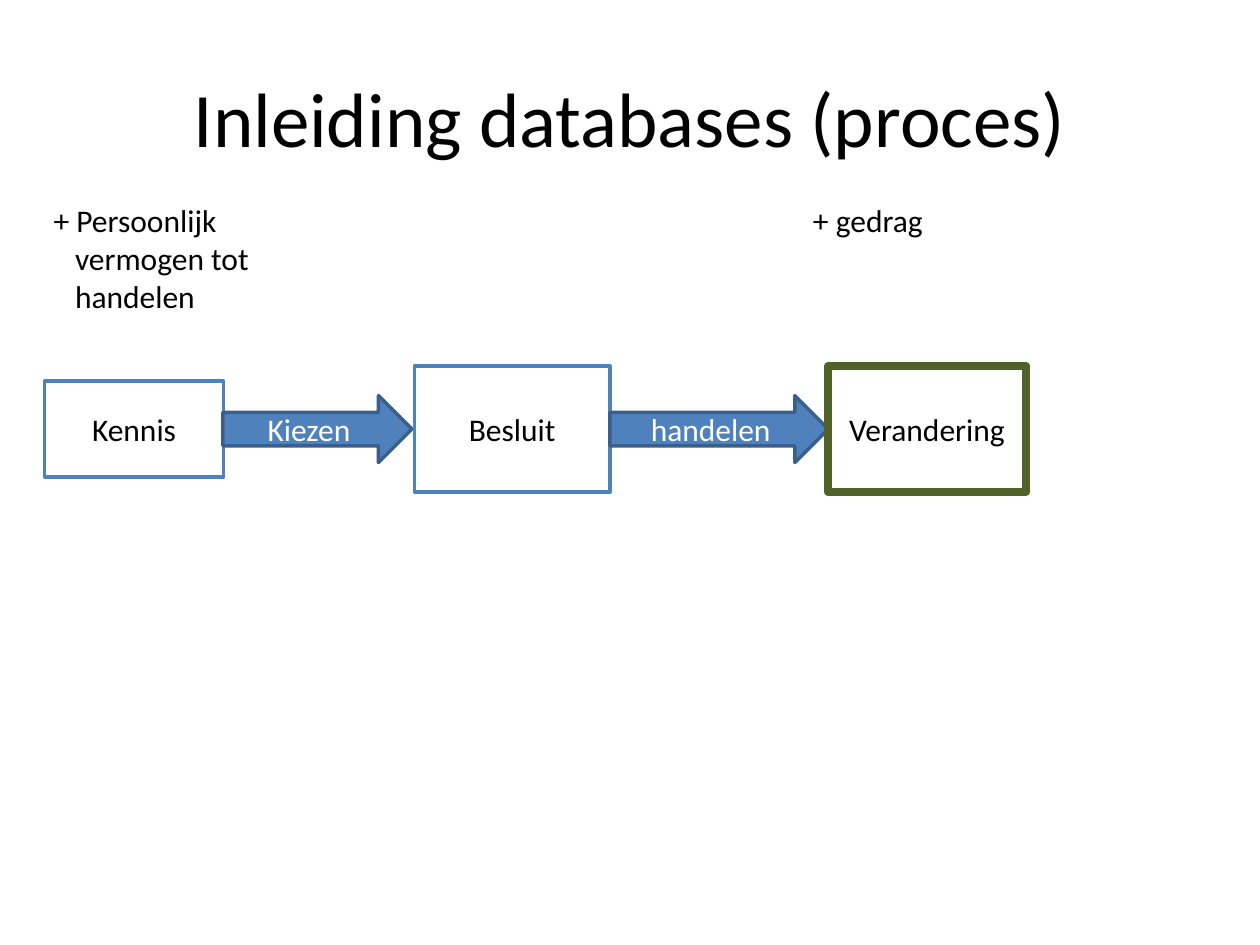
from dataclasses import dataclass

import pptx
import pptx.dml.color
import pptx.enum.shapes
import pptx.enum.text
import pptx.util

Pt = pptx.util.Pt
Shape = pptx.enum.shapes.MSO_SHAPE
Align = pptx.enum.text.PP_ALIGN
Anchor = pptx.enum.text.MSO_ANCHOR

BLACK, WHITE = "000000", "FFFFFF"
BLUE, DARK_BLUE, GREEN = "4F81BD", "3A5F8C", "4F6228"
MIDDLE = 245.2
HANGING_INDENT = 12.3


@dataclass
class Step:
    label: str
    left: float
    width: float
    height: float
    kind: Shape = Shape.RECTANGLE
    fill: str = WHITE
    line: str = BLUE
    line_width: float = 2
    ink: str = BLACK


@dataclass
class Condition:
    text: str
    left: float
    width: float
    height: float


def arrow(label: str, left: float, width: float) -> Step:
    return Step(label, left, width, 38.2, Shape.RIGHT_ARROW, BLUE, DARK_BLUE, ink=WHITE)


STEPS = [
    Step("Kennis", 25.5, 102.2, 54.7, Shape.FLOWCHART_PROCESS),
    arrow("Kiezen", 127.4, 108),
    Step("Besluit", 236.9, 111.6, 72),
    arrow("handelen", 348.5, 124.8),
    Step("Verandering", 473, 113.5, 72, line=GREEN, line_width=4.5),
]

CONDITIONS = [
    Condition("+ Persoonlijk\nvermogen tot\nhandelen", 23.5, 400, 72.7),
    Condition("+ gedrag", 457.5, 262.5, 29.1),
]


def rgb(value: str) -> pptx.dml.color.RGBColor:
    return pptx.dml.color.RGBColor.from_string(value)


def format_text(frame, size: float, ink: str, align: Align) -> None:
    for para in frame.paragraphs:
        para.alignment = align
        for span in para.runs:
            span.font.name = "Calibri"
            span.font.size = Pt(size)
            span.font.color.rgb = rgb(ink)


def draw_step(page, step: Step) -> None:
    """Draw a step centred on the common middle line."""
    box = page.shapes.add_shape(step.kind, Pt(step.left), Pt(MIDDLE - step.height / 2),
                                Pt(step.width), Pt(step.height))
    box.shadow.inherit = False
    box.fill.solid()
    box.fill.fore_color.rgb = rgb(step.fill)
    box.line.color.rgb = rgb(step.line)
    box.line.width = Pt(step.line_width)
    frame = box.text_frame
    frame.text = step.label
    frame.vertical_anchor = Anchor.MIDDLE
    format_text(frame, 18, step.ink, Align.CENTER)


def draw_condition(page, condition: Condition) -> None:
    """Draw a condition whose later lines align with the word after the plus."""
    box = page.shapes.add_textbox(Pt(condition.left), Pt(111.3),
                                  Pt(condition.width), Pt(condition.height))
    frame = box.text_frame
    frame.word_wrap = True
    frame.text = condition.text
    format_text(frame, 18, BLACK, Align.LEFT)
    for para in frame.paragraphs[1:]:
        para._p.get_or_add_pPr().set("marL", str(Pt(HANGING_INDENT)))


def main() -> None:
    deck = pptx.Presentation()
    deck.slide_width, deck.slide_height = Pt(720), Pt(540)
    page = deck.slides.add_slide(deck.slide_layouts[5])

    title = page.shapes.title
    title.left, title.top, title.width, title.height = Pt(36), Pt(21.6), Pt(648), Pt(90)
    title.text_frame.text = "Inleiding databases (proces)"
    title.text_frame.vertical_anchor = Anchor.MIDDLE
    format_text(title.text_frame, 44, BLACK, Align.CENTER)

    for condition in CONDITIONS:
        draw_condition(page, condition)
    for step in STEPS:
        draw_step(page, step)
    deck.save("out.pptx")


if __name__ == "__main__":
    main()
